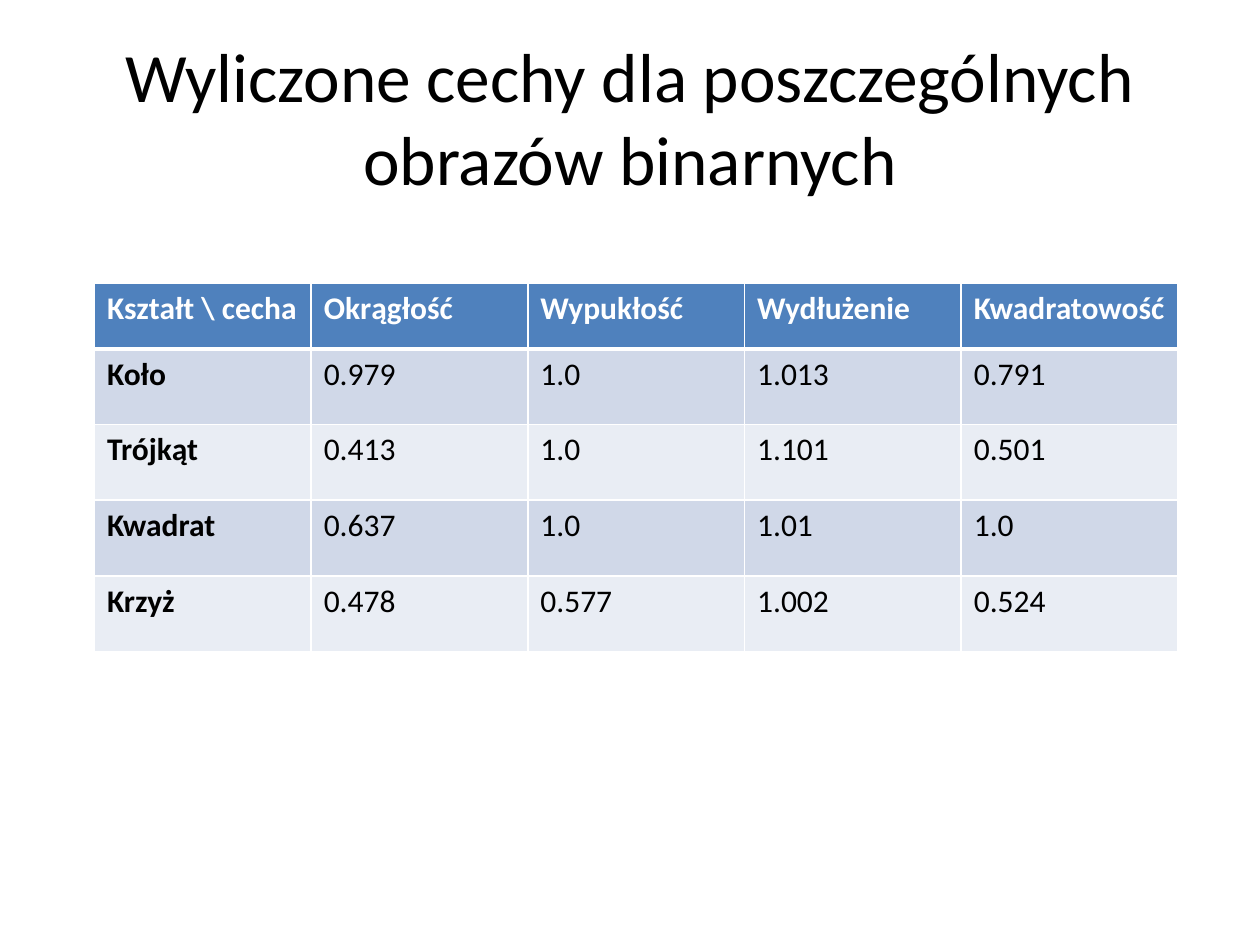
from lxml.etree import SubElement
from pptx import Presentation
from pptx.dml.color import RGBColor
from pptx.enum.text import MSO_ANCHOR, PP_ALIGN
from pptx.oxml.ns import qn
from pptx.util import Inches, Pt

# Content
TITLE = "Wyliczone cechy dla poszczególnych obrazów binarnych"
FEATURES = [
    ("Kształt \\ cecha", "Okrągłość", "Wypukłość", "Wydłużenie", "Kwadratowość"),
    ("Koło", "0.979", "1.0", "1.013", "0.791"),
    ("Trójkąt", "0.413", "1.0", "1.101", "0.501"),
    ("Kwadrat", "0.637", "1.0", "1.01", "1.0"),
    ("Krzyż", "0.478", "0.577", "1.002", "0.524"),
]

# Style
FONT = "Calibri"
BLACK = RGBColor(0x00, 0x00, 0x00)
WHITE = RGBColor(0xFF, 0xFF, 0xFF)
HEADER_BLUE = RGBColor(0x4F, 0x81, 0xBD)
BANDS = (RGBColor(0xD0, 0xD8, 0xE8), RGBColor(0xE9, 0xED, 0xF4))

COLUMN_WIDTH = 1.72
HEADER_HEIGHT, ROW_HEIGHT = 0.52, 0.6


def style_font(paragraph, size, color, bold=False):
    font = paragraph.font
    font.name, font.size, font.bold = FONT, Pt(size), bold
    font.color.rgb = color


def add_borders(cell, top, bottom):
    """Draw white borders; must run before the fill, which follows them in XML."""
    properties = cell._tc.get_or_add_tcPr()
    for side, width in (("L", 1), ("R", 1), ("T", top), ("B", bottom)):
        line = SubElement(properties, qn(f"a:ln{side}"), w=str(Pt(width)))
        fill = SubElement(line, qn("a:solidFill"))
        SubElement(fill, qn("a:srgbClr"), val=str(WHITE))


presentation = Presentation()
presentation.slide_width, presentation.slide_height = Inches(10), Inches(7.5)
slide = presentation.slides.add_slide(presentation.slide_layouts[6])

# Title
title = slide.shapes.add_textbox(Inches(0.5), Inches(0.3), Inches(9), Inches(1.25))
title_frame = title.text_frame
title_frame.word_wrap = True
title_frame.vertical_anchor = MSO_ANCHOR.MIDDLE
title_frame.text = TITLE
title_frame.paragraphs[0].alignment = PP_ALIGN.CENTER
style_font(title_frame.paragraphs[0], 39.6, BLACK)

# Table of features by shape
row_count, column_count = len(FEATURES), len(FEATURES[0])
feature_table = slide.shapes.add_table(
    row_count, column_count, Inches(0.75), Inches(2.25),
    Inches(COLUMN_WIDTH * column_count),
    Inches(HEADER_HEIGHT + ROW_HEIGHT * (row_count - 1)),
).table
feature_table.first_col = True
for column in feature_table.columns:
    column.width = Inches(COLUMN_WIDTH)

for r, values in enumerate(FEATURES):
    is_header = r == 0
    feature_table.rows[r].height = Inches(HEADER_HEIGHT if is_header else ROW_HEIGHT)
    for c, value in enumerate(values):
        cell = feature_table.cell(r, c)
        cell.text = value
        style_font(cell.text_frame.paragraphs[0], 18,
                   WHITE if is_header else BLACK, bold=is_header or c == 0)
        add_borders(cell, top=3 if r == 1 else 1, bottom=3 if is_header else 1)
        cell.fill.solid()
        cell.fill.fore_color.rgb = HEADER_BLUE if is_header else BANDS[(r - 1) % 2]

presentation.save("out.pptx")
